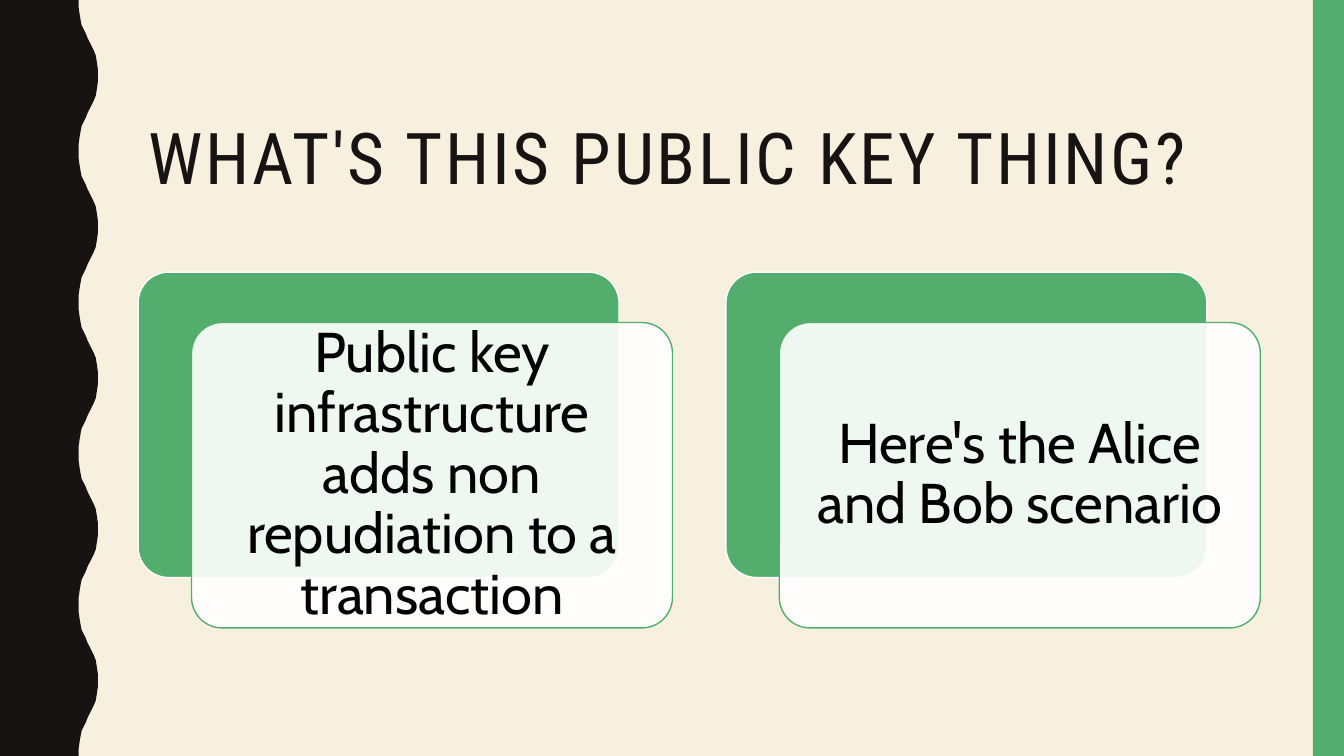
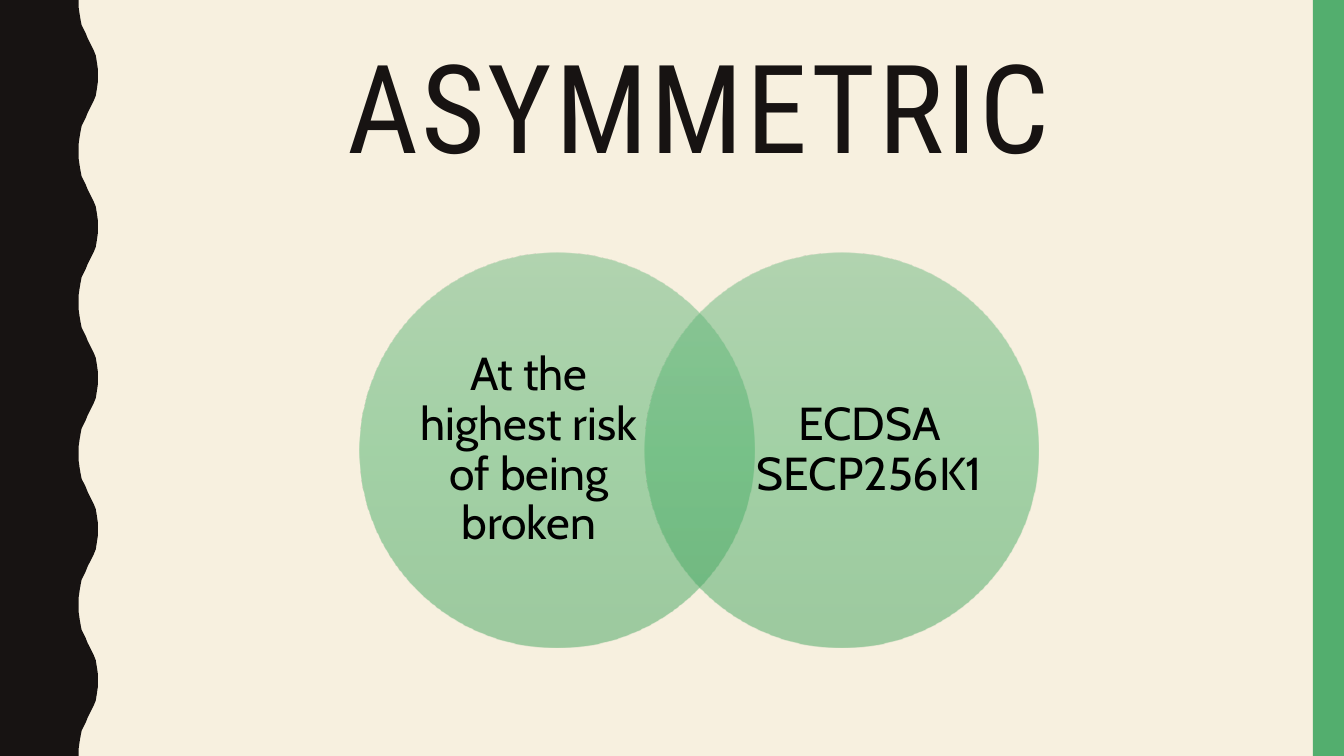
from pptx import Presentation
from pptx.dml.color import RGBColor
from pptx.enum.shapes import MSO_SHAPE as Preset
from pptx.enum.text import MSO_ANCHOR as Anchor, MSO_AUTO_SIZE as AutoSize, PP_ALIGN as Align
from pptx.oxml import parse_xml
from pptx.oxml.ns import nsdecls, qn
from pptx.util import Inches, Pt

# Colours and fonts
CREAM = RGBColor(0xF7, 0xF0, 0xDF)
INK = RGBColor(0x17, 0x13, 0x12)
GREEN = RGBColor(0x53, 0xAE, 0x6E)
WHITE = RGBColor(0xFF, 0xFF, 0xFF)
BLACK = RGBColor(0x00, 0x00, 0x00)
CIRCLE_STOPS = (
    (0, RGBColor(0x6C, 0xB7, 0x80)),
    (50, RGBColor(0x4E, 0xB3, 0x6C)),
    (100, RGBColor(0x42, 0xA3, 0x5E)),
)
TITLE_FONT = "Roboto Condensed"
BODY_FONT = "Cabin"

# Geometry in inches
SLIDE_WIDTH, SLIDE_HEIGHT = 13.33, 7.5
TITLE_BOX = (1.37, 0.42, 11.13, 1.63)
STRIPE_WIDTH = 0.31
WAVE_COUNT, WAVE_LENGTH = 5, 1.5
HALF_WAVE = (
    (0.78, 0), (0.78, 0.07), (0.79, 0.14), (0.8, 0.2), (0.81, 0.25),
    (0.83, 0.29), (0.85, 0.33), (0.87, 0.38), (0.89, 0.42), (0.91, 0.46),
    (0.93, 0.5), (0.95, 0.55), (0.96, 0.61), (0.97, 0.68), (0.97, 0.75),
)


def inches(*values):
    return [Inches(value) for value in values]


class Deck:
    """Holds the style and the current slide."""

    def __init__(self):
        self.presentation = Presentation()
        self.presentation.slide_width = Inches(SLIDE_WIDTH)
        self.presentation.slide_height = Inches(SLIDE_HEIGHT)
        background = self.presentation.slide_master.background.fill
        background.solid()
        background.fore_color.rgb = CREAM
        self.slide = None

    def new_slide(self, title, size, align=Align.LEFT, top_margin=0.05):
        layout = self.presentation.slide_layouts.get_by_name("Title Only")
        self.slide = self.presentation.slides.add_slide(layout)
        self.wave()
        self.shape(Preset.RECTANGLE, SLIDE_WIDTH - STRIPE_WIDTH, 0,
                   STRIPE_WIDTH, SLIDE_HEIGHT, GREEN)
        self.title(title, size, align, top_margin)

    def title(self, text, size, align, top_margin):
        shape = self.slide.shapes.title
        shape.left, shape.top, shape.width, shape.height = inches(*TITLE_BOX)
        run = self.set_text(shape, text, TITLE_FONT, size, INK, align, Anchor.TOP,
                            margins=(0.1, top_margin, 0.1, 0.05))
        run._r.get_or_add_rPr().set("spc", "200")

    def set_text(self, shape, text, font, size, color, align=Align.CENTER,
                 anchor=Anchor.MIDDLE, margins=(0, 0, 0, 0)):
        frame = shape.text_frame
        left, top, right, bottom = inches(*margins)
        frame_format = {
            "word_wrap": True, "auto_size": AutoSize.NONE,
            "vertical_anchor": anchor, "margin_left": left,
            "margin_top": top, "margin_right": right, "margin_bottom": bottom,
        }
        paragraph = frame.paragraphs[0]
        run = paragraph.add_run()
        run.text = text
        run.font.color.rgb = color
        formats = (
            (frame, frame_format),
            (paragraph, {"alignment": align, "line_spacing": 0.9}),
            (run.font, {"name": font, "size": Pt(size)}),
        )
        for target, values in formats:
            for name, value in values.items():
                setattr(target, name, value)
        return run

    def paint(self, shape, fill, line=None):
        shape.shadow.inherit = False
        shape.fill.solid()
        shape.fill.fore_color.rgb = fill
        if line is None:
            shape.line.fill.background()
        else:
            shape.line.color.rgb = line
            shape.line.width = Pt(1)

    def shape(self, preset, left, top, width, height, fill, line=None):
        shape = self.slide.shapes.add_shape(preset, *inches(left, top, width, height))
        self.paint(shape, fill, line)
        return shape

    def wave(self):
        """Dark left band with a wavy right edge."""
        mirrored = [(x, WAVE_LENGTH - y) for x, y in reversed(HALF_WAVE[:-1])]
        edge = [(x, y + number * WAVE_LENGTH)
                for number in range(WAVE_COUNT)
                for x, y in (*HALF_WAVE, *mirrored)]
        builder = self.slide.shapes.build_freeform(0, 0)
        builder.add_line_segments(
            [inches(*point) for point in (*edge, (0, SLIDE_HEIGHT))], close=True)
        self.paint(builder.convert_to_shape(), INK)

    def rounded(self, left, top, fill, line):
        shape = self.shape(Preset.ROUNDED_RECTANGLE, left, top, 4.77, 3.03, fill, line)
        shape.adjustments[0] = 0.1
        return shape

    def card(self, left, text):
        """Translucent text card in front of a green one."""
        top = 2.7
        self.rounded(left, top, GREEN, WHITE)
        front = self.rounded(left + 0.53, top + 0.5, WHITE, GREEN)
        color = front._element.spPr.find(qn("a:solidFill"))[0]
        color.append(parse_xml(f'<a:alpha {nsdecls("a")} val="90000"/>'))
        self.set_text(front, text, BODY_FONT, 40, BLACK, margins=(0.17,) * 4)

    def circle(self, left):
        """Half-transparent circle with a vertical gradient."""
        shape = self.shape(Preset.OVAL, left, 2.51, 3.91, 3.91, GREEN)
        stops = "".join(
            f'<a:gs pos="{position * 1000}"><a:srgbClr val="{color}">'
            f'<a:alpha val="50000"/></a:srgbClr></a:gs>'
            for position, color in CIRCLE_STOPS)
        gradient = parse_xml(
            f'<a:gradFill {nsdecls("a")} rotWithShape="1"><a:gsLst>{stops}</a:gsLst>'
            '<a:lin ang="5400000" scaled="0"/></a:gradFill>')
        properties = shape._element.spPr
        properties.replace(properties.find(qn("a:solidFill")), gradient)

    def label(self, left, text):
        box = self.slide.shapes.add_textbox(*inches(left, 2.97, 2.25, 2.99))
        self.set_text(box, text, BODY_FONT, 33, BLACK)


def main():
    deck = Deck()

    # Public key cards
    deck.new_slide("WHAT'S THIS PUBLIC KEY THING?", 51, top_margin=0.8)
    cards = ("Public key infrastructure adds non repudiation to a transaction",
             "Here's the Alice and Bob scenario")
    for index, text in enumerate(cards):
        deck.card(1.37 + index * 5.83, text)

    # Asymmetric Venn diagram
    deck.new_slide("ASYMMETRIC", 88, Align.CENTER)
    circles = ((3.57, 4.12, "At the highest risk of being broken"),
               (6.39, 7.5, "ECDSA SECP256K1"))
    for circle_left, label_left, text in circles:
        deck.circle(circle_left)
        deck.label(label_left, text)

    deck.presentation.save("out.pptx")


if __name__ == "__main__":
    main()
